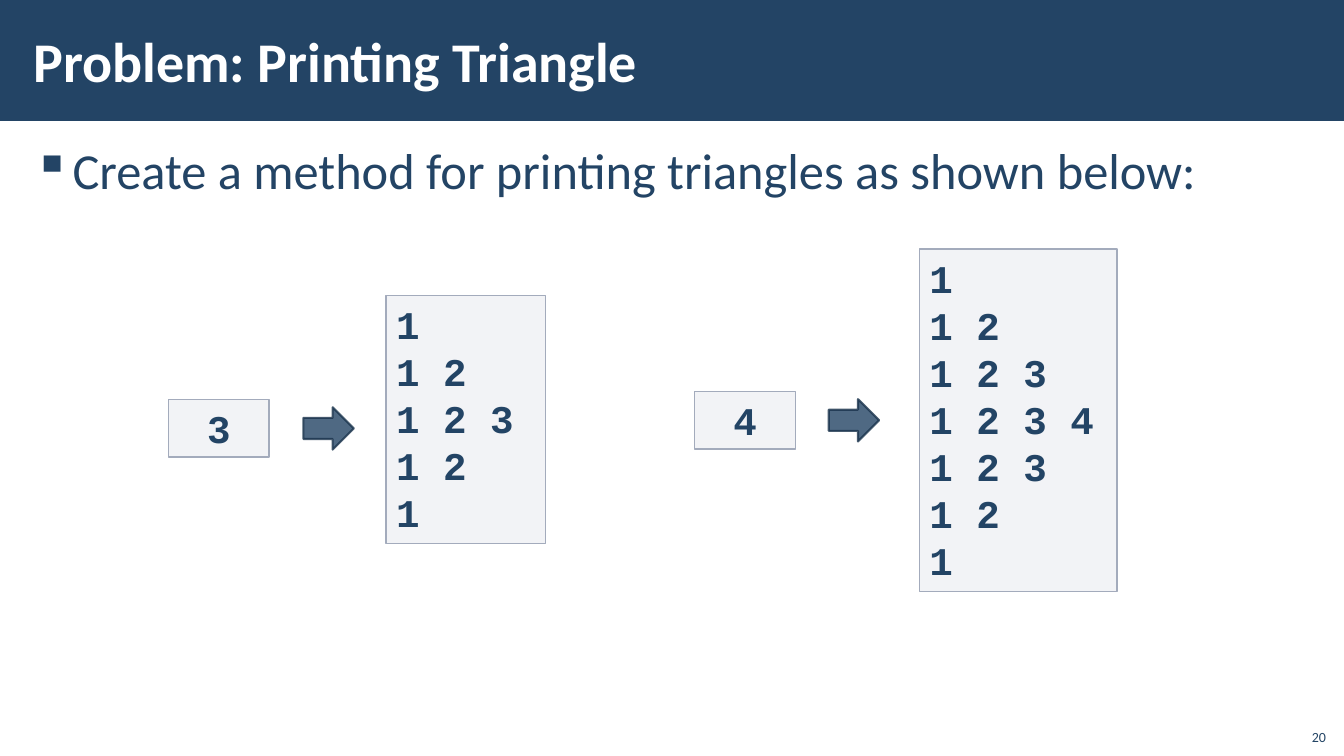
from dataclasses import dataclass

from lxml import etree
from pptx import Presentation
from pptx.dml.color import RGBColor
from pptx.enum.shapes import MSO_SHAPE as SHAPE
from pptx.enum.text import MSO_ANCHOR as ANCHOR, MSO_AUTO_SIZE as FIT, PP_ALIGN as ALIGN
from pptx.oxml.ns import qn
from pptx.util import Inches, Pt


@dataclass(frozen=True)
class Theme:
    navy: str = "234465"
    white: str = "FFFFFF"
    panel: str = "C2C7D2"
    panel_line: str = "A3ABBC"
    arrow_line: str = "1A334C"
    font: str = "Calibri"
    code_font: str = "Courier New"
    title_size: float = 40
    body_size: float = 36
    code_size: float = 28
    number_size: float = 10


T = Theme()


def paint(fill, color, opacity=100):
    fill.solid()
    fill.fore_color.rgb = RGBColor.from_string(color)
    if opacity < 100:
        clr = fill._xPr.find(qn("a:solidFill")).find(qn("a:srgbClr"))
        etree.SubElement(clr, qn("a:alpha")).set("val", str(opacity * 1000))


def add_block(s, shape, box, color, opacity=100, line=None, width=1, line_opacity=100):
    sp = s.shapes.add_shape(shape, *map(Inches, box))
    sp.shadow.inherit = False
    paint(sp.fill, color, opacity)
    if line:
        sp.line.width = Pt(width)
        paint(sp.line.fill, line, line_opacity)
    else:
        sp.line.fill.background()
    return sp


def write(p, text, size, color=T.navy, font=T.font, bold=False, align=ALIGN.LEFT):
    p.alignment = align
    r = p.add_run()
    r.text = text
    r.font.size, r.font.name, r.font.bold = Pt(size), font, bold
    r.font.color.rgb = RGBColor.from_string(color)


def add_text(s, box, anchor=ANCHOR.TOP, insets=(0.12, 0.04)):
    tf = s.shapes.add_textbox(*map(Inches, box)).text_frame
    tf.word_wrap = True
    tf.vertical_anchor = anchor
    tf.margin_left = tf.margin_right = Inches(insets[0])
    tf.margin_top = tf.margin_bottom = Inches(insets[1])
    return tf.paragraphs[0]


def add_header(s, box, title):
    x, y, w, h = box
    add_block(s, SHAPE.RECTANGLE, box, T.navy)
    p = add_text(s, (x + 0.21, y + 0.11, 10.39, h - 0.23), ANCHOR.MIDDLE)
    write(p, title, T.title_size, T.white, bold=True)


def add_body(s, box, text):
    p = add_text(s, box)
    p.line_spacing = 1.05
    p.space_after = Pt(6)
    pPr = p._p.get_or_add_pPr()
    pPr.set("marL", str(Inches(0.39)))
    pPr.set("indent", str(-Inches(0.39)))
    etree.SubElement(pPr, qn("a:buChar")).set("char", "▪")
    write(p, text, T.body_size)


def add_code(s, box, lines, align=ALIGN.LEFT):
    sp = add_block(s, SHAPE.RECTANGLE, box, T.panel, 20, T.panel_line)
    tf = sp.text_frame
    tf.word_wrap = True
    tf.auto_size = FIT.SHAPE_TO_FIT_TEXT
    tf.vertical_anchor = ANCHOR.TOP
    for i, line in enumerate(lines):
        p = tf.add_paragraph() if i else tf.paragraphs[0]
        write(p, line, T.code_size, T.navy, T.code_font, True, align)


def triangle(n):
    sizes = [*range(1, n + 1), *range(n - 1, 0, -1)]
    return [" ".join(str(i) for i in range(1, size + 1)) for size in sizes]


def add_example(s, n, box, input_mid, arrow_x, output_x):
    x, y, w, h = box
    add_code(s, (x, input_mid - 0.285, 1, 0.57), [str(n)], ALIGN.CENTER)
    add_block(s, SHAPE.RIGHT_ARROW, (x + arrow_x, input_mid - 0.21, 0.5, 0.42),
              T.navy, 80, T.arrow_line, 1.5, 80)
    add_code(s, (x + output_x, y, w - output_x, h), triangle(n))


def add_number(s, box, number):
    p = add_text(s, box, ANCHOR.BOTTOM, (0.1, 0.05))
    write(p, str(number), T.number_size, align=ALIGN.RIGHT)


def main():
    prs = Presentation()
    prs.slide_width, prs.slide_height = Inches(13.33), Inches(7.5)
    s = prs.slides.add_slide(prs.slide_layouts[6])
    add_header(s, (0, 0, 13.33, 1.2), "Problem: Printing Triangle")
    add_body(s, (0.21, 1.31, 12.92, 5.69),
             "Create a method for printing triangles as shown below:")
    add_example(s, 3, (1.67, 2.93, 3.74, 2.46), 4.25, 1.34, 2.16)
    add_example(s, 4, (6.89, 2.47, 4.19, 3.4), 4.17, 1.33, 2.23)
    add_number(s, (12.85, 7.12, 0.4, 0.32), 20)
    prs.save("out.pptx")


if __name__ == "__main__":
    main()
